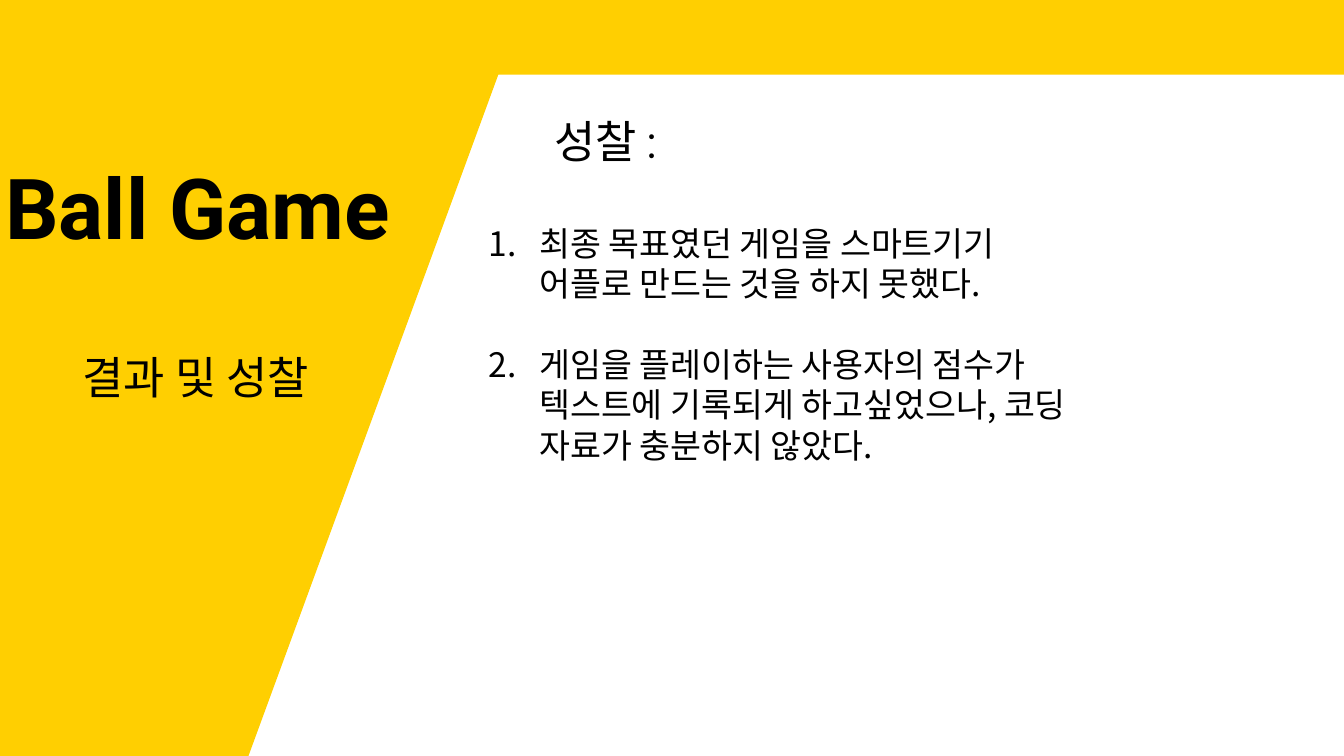
from lxml import etree
from pptx import Presentation
from pptx.dml.color import RGBColor
from pptx.enum import shapes, text
from pptx.oxml import ns
from pptx.util import Inches, Pt

YELLOW, BLACK = "FFCF01", "000000"
KOREAN_FONT = "Noto Sans CJK KR"

# preset, (left, top, width, height), outlined, flipped vertically
PANELS = [
    (shapes.MSO_SHAPE.RECTANGLE, (-1.09, 0.48, 3.54, 7.19), True, False),
    (shapes.MSO_SHAPE.RIGHT_TRIANGLE, (2.45, 0.51, 2.57, 7.01), True, True),
    (shapes.MSO_SHAPE.RECTANGLE, (-0.15, -0.11, 13.66, 0.85), False, False),
]
# wording, (left, top, width, height), font, size, bold, outline opacity
HEADINGS = [
    ("결과 및 성찰", (0.72, 3.48, 10.19, 0.91), "Montserrat", 32, False, 54),
    ("Ball Game", (-3.04, 0, 10, 2.61), "Roboto", 60, True, 43),
    ("성찰 :", (5.4, 1.14, 10.19, 0.91), "Montserrat", 32, False, 54),
]
REFLECTIONS = [
    "최종 목표였던 게임을 스마트기기 어플로 만드는 것을 하지 못했다.",
    "게임을 플레이하는 사용자의 점수가 텍스트에 기록되게 하고싶었으나, 코딩 자료가 충분하지 않았다.",
]
REFLECTIONS_AREA = (4.75, 2.16, 6.16, 3.74)


def color(code):
    return RGBColor.from_string(code)


def add_panel(slide, preset, area, outlined, flipped):
    panel = slide.shapes.add_shape(preset, *map(Inches, area))
    panel.shadow.inherit = False
    panel.fill.solid()
    panel.fill.fore_color.rgb = color(YELLOW)
    if outlined:
        panel.line.color.rgb = color(YELLOW)
        panel.line.width = Pt(1)
    else:
        panel.line.fill.background()
    if flipped:
        panel.element.spPr.xfrm.set("flipV", "1")


def add_frame(slide, area):
    frame = slide.shapes.add_textbox(*map(Inches, area)).text_frame
    frame.word_wrap = True
    return frame


def add_run(paragraph, wording, font, size, bold=False):
    run = paragraph.add_run()
    run.text = wording
    run.font.name = font
    run.font.size = Pt(size)
    run.font.bold = bold
    run.font.color.rgb = color(BLACK)
    properties = run.font._element
    east_asian = etree.Element(ns.qn("a:ea"), typeface=KOREAN_FONT)
    properties.find(ns.qn("a:latin")).addnext(east_asian)
    return properties


def outline_text(properties, opacity):
    line = etree.Element(ns.qn("a:ln"), w=str(Pt(0.75)))
    fill = etree.SubElement(line, ns.qn("a:solidFill"))
    shade = etree.SubElement(fill, ns.qn("a:srgbClr"), val=BLACK)
    etree.SubElement(shade, ns.qn("a:alpha"), val=str(opacity * 1000))
    properties.insert(0, line)


def add_heading(slide, wording, area, font, size, bold, opacity):
    frame = add_frame(slide, area)
    paragraph = frame.paragraphs[0]
    paragraph.line_spacing = 0.9
    if bold:
        frame.vertical_anchor = text.MSO_ANCHOR.BOTTOM
        paragraph.alignment = text.PP_ALIGN.CENTER
    outline_text(add_run(paragraph, wording, font, size, bold), opacity)


def add_numbered_list(slide, items, area):
    frame = add_frame(slide, area)
    for index, item in enumerate(items):
        paragraph = frame.add_paragraph() if index else frame.paragraphs[0]
        if index:
            paragraph.space_before = Pt(29)
        properties = paragraph._p.get_or_add_pPr()
        properties.set("marL", str(Inches(0.5)))
        properties.set("indent", str(Inches(-0.5)))
        etree.SubElement(properties, ns.qn("a:buFont"), typeface="+mj-lt")
        etree.SubElement(properties, ns.qn("a:buAutoNum"), type="arabicPeriod")
        add_run(paragraph, item, KOREAN_FONT, 24)


def main():
    deck = Presentation()
    deck.slide_width, deck.slide_height = Inches(13.33), Inches(7.5)
    slide = deck.slides.add_slide(deck.slide_layouts[6])
    for panel in PANELS:
        add_panel(slide, *panel)
    for heading in HEADINGS:
        add_heading(slide, *heading)
    add_numbered_list(slide, REFLECTIONS, REFLECTIONS_AREA)
    deck.save("out.pptx")


if __name__ == "__main__":
    main()
